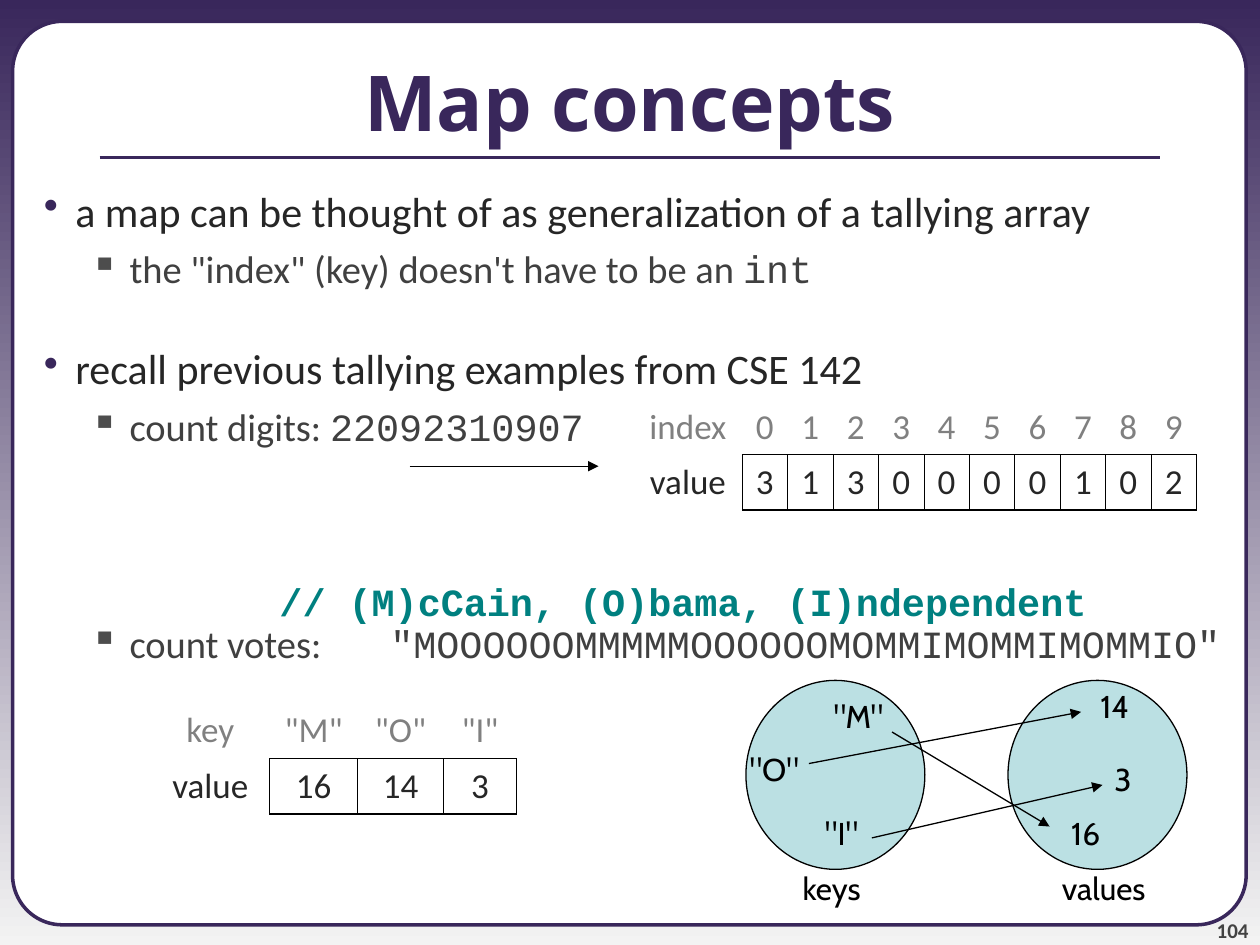
from lxml.etree import SubElement
from pptx import Presentation
from pptx.dml.color import RGBColor
from pptx.enum.shapes import MSO_CONNECTOR, MSO_SHAPE
from pptx.enum.text import MSO_ANCHOR as Anchor, PP_ALIGN as Align
from pptx.oxml.ns import qn
from pptx.util import Inches, Pt

PURPLE = RGBColor(0x39, 0x27, 0x5B)
PALE = RGBColor(0xF3, 0xF3, 0xF3)
WHITE = RGBColor(0xFF, 0xFF, 0xFF)
BLACK = RGBColor(0, 0, 0)
INK = RGBColor(0x26, 0x26, 0x26)
DARK_GRAY = RGBColor(0x40, 0x40, 0x40)
NUMBER_GRAY = RGBColor(0x42, 0x42, 0x42)
GRAY = RGBColor(0x80, 0x80, 0x80)
TEAL = RGBColor(0, 0x80, 0x80)
LIGHT_BLUE = RGBColor(0xBB, 0xE0, 0xE3)

presentation = Presentation()
presentation.slide_width, presentation.slide_height = Inches(10), Inches(7.5)
slide = presentation.slides.add_slide(presentation.slide_layouts[6])
shapes = slide.shapes


def add_run(paragraph, text, size, name, color, bold=False):
    run = paragraph.add_run()
    run.text = text
    font_values = {"size": Pt(size), "name": name, "bold": bold}
    for key, value in font_values.items():
        setattr(run.font, key, value)
    run.font.color.rgb = color


def add_line(start, end, color, width, arrow=False):
    points = [Inches(number) for number in (*start, *end)]
    line = shapes.add_connector(MSO_CONNECTOR.STRAIGHT, *points)
    line.line.color.rgb = color
    line.line.width = Pt(width)
    if arrow:
        SubElement(line.line._get_or_add_ln(), qn("a:tailEnd"), type="triangle")
    SubElement(line._element.spPr, qn("a:effectLst"))


# Background gradient
background = slide.background.fill
background.gradient()
background.gradient_angle = 270
for stop, color, position in zip(background.gradient_stops, (PURPLE, PALE), (0, 1)):
    stop.color.rgb = color
    stop.position = position

# White panel and the two circles
for kind, box, fill, outline, width in (
    (MSO_SHAPE.ROUNDED_RECTANGLE, (0.1, 0.17, 9.79, 7.17), WHITE, PURPLE, 2),
    (MSO_SHAPE.OVAL, (5.92, 5.4, 1.42, 1.5), LIGHT_BLUE, BLACK, 0.74),
    (MSO_SHAPE.OVAL, (8, 5.4, 1.42, 1.5), LIGHT_BLUE, BLACK, 0.74),
):
    shape = shapes.add_shape(kind, *[Inches(number) for number in box])
    shape.shadow.inherit = False
    shape.fill.solid()
    shape.fill.fore_color.rgb = fill
    shape.line.color.rgb = outline
    shape.line.width = Pt(width)
    if kind == MSO_SHAPE.ROUNDED_RECTANGLE:
        shape.adjustments[0] = 0.055

# Title, rule and slide number
add_line((0.79, 1.25), (9.21, 1.25), PURPLE, 2.24)
title = shapes.add_textbox(0, Inches(0.17), Inches(10), Inches(1.25)).text_frame
title.word_wrap = True
title.vertical_anchor = Anchor.MIDDLE
title.paragraphs[0].alignment = Align.CENTER
add_run(title.paragraphs[0], "Map concepts", 44, "Open Sans", PURPLE, True)

number_box = shapes.add_textbox(Inches(9.08), Inches(7.08), Inches(0.83), Inches(0.4))
number_frame = number_box.text_frame
for side in ("left", "top", "right", "bottom"):
    setattr(number_frame, f"margin_{side}", 0)
number_frame.word_wrap = True
number_frame.vertical_anchor = Anchor.BOTTOM
number_frame.paragraphs[0].alignment = Align.RIGHT
add_run(number_frame.paragraphs[0], "104", 12, "Calibri", NUMBER_GRAY, True)

# Body: level, space before, line spacing, plain text, code text
body = shapes.add_textbox(0, Inches(1.42), Inches(10), Inches(6.08)).text_frame
body.word_wrap = True
LEVELS = {  # left indent, first line, bullet, bullet color, size, text color
    "main": (0.5, -0.25, "•", "39275B", 24, INK),
    "sub": (0.93, -0.31, "▪", "4D4D4D", 22, DARK_GRAY),
    "comment": (2.12, 0, None, None, 22, TEAL),
}
body_rows = (
    ("main", 6, 1, "a map can be thought of as generalization of a tallying array", ""),
    ("sub", 5.5, 1, "the \"index\" (key) doesn't have to be an ", "int"),
    ("main", 29.5, 1, "recall previous tallying examples from CSE 142", ""),
    ("sub", 5.5, 1, "count digits: ", "22092310907"),
    ("comment", 81, 0.7, "", "// (M)cCain, (O)bama, (I)ndependent"),
    ("sub", 5.5, 0.7, "count votes:\t", '"MOOOOOOMMMMMOOOOOOMOMMIMOMMIMOMMIO"'),
)
for index, (level, before, spacing, plain, code) in enumerate(body_rows):
    paragraph = body.add_paragraph() if index else body.paragraphs[0]
    left, first, bullet, bullet_color, size, color = LEVELS[level]
    paragraph.space_before = Pt(before)
    paragraph.line_spacing = float(spacing)
    properties = paragraph._p.get_or_add_pPr()
    properties.set("marL", str(Inches(left)))
    properties.set("indent", str(Inches(first)))
    if bullet:
        bullet_fill = SubElement(properties, qn("a:buClr"))
        SubElement(bullet_fill, qn("a:srgbClr"), val=bullet_color)
        SubElement(properties, qn("a:buChar"), char=bullet)
    if "\t" in plain:
        tabs = SubElement(properties, qn("a:tabLst"))
        for stop in range(1, 9):
            SubElement(tabs, qn("a:tab"), pos=str(Inches(stop)), algn="l")
    for text, name in ((plain, "Calibri"), (code, "Courier New")):
        if text:
            add_run(paragraph, text, size, name, color, level == "comment")

# Tally tables: gray headings above boxed values
for left, top, widths, rows in (
    (5.03, 3.17, [0.86] + [0.361] * 10,
     (["index", *"0123456789"], ["value", *"3130000102"])),
    (1.2, 5.58, [0.94, 0.7, 0.68, 0.58],
     (["key", '"M"', '"O"', '"I"'], ["value", "16", "14", "3"])),
):
    frame = shapes.add_table(2, len(widths), Inches(left), Inches(top),
                             Inches(sum(widths)), Inches(0.88))
    table = frame.table
    table.first_row = table.horz_banding = False
    for column, width in zip(table.columns, widths):
        column.width = Inches(width)
    for row_index, row in enumerate(rows):
        table.rows[row_index].height = Inches(0.44)
        for column_index, text in enumerate(row):
            cell = table.cell(row_index, column_index)
            paragraph = cell.text_frame.paragraphs[0]
            paragraph.alignment = Align.CENTER
            paragraph.space_before = Pt(5)
            add_run(paragraph, text, 20, "Calibri", INK if row_index else GRAY)

            boxed = row_index == 1 and column_index > 0
            last = column_index == len(row) - 1
            borders = {
                "L": 0.45 if boxed else 0,
                "R": (1.08 if last else 0.45) if row_index else 0,
                "T": 0.45 if boxed else 0,
                "B": 1.08 if boxed else 0.45 if column_index and not row_index else 0,
            }
            cell_properties = cell._tc.get_or_add_tcPr()
            for side, width in borders.items():
                border = SubElement(cell_properties, qn(f"a:ln{side}"), w=str(Pt(width)))
                if width:
                    border_fill = SubElement(border, qn("a:solidFill"))
                    SubElement(border_fill, qn("a:srgbClr"), val="000000")
                else:
                    SubElement(border, qn("a:noFill"))
            cell.fill.background()

# Mapping labels
for text, left, top, width in (
    ('"M"', 6.48, 5.48, 0.63), ('"O"', 5.84, 5.9, 0.6), ('"I"', 6.42, 6.41, 0.49),
    ("16", 8.35, 6.41, 0.48), ("3", 8.74, 5.98, 0.34), ("14", 8.58, 5.4, 0.48),
    ("keys", 6.21, 6.85, 0.72), ("values", 8.25, 6.85, 0.94),
):
    label = shapes.add_textbox(Inches(left), Inches(top), Inches(width), Inches(0.4))
    label.text_frame.word_wrap = False
    paragraph = label.text_frame.paragraphs[0]
    paragraph.alignment = Align.RIGHT
    add_run(paragraph, text, 18, "Cabin", BLACK)

# Arrows
for start, end in (
    ((3.25, 3.7), (4.75, 3.7)),
    ((7.08, 5.81), (8.33, 6.56)),
    ((6.42, 6.06), (8.58, 5.65)),
    ((6.92, 6.65), (8.75, 6.23)),
):
    add_line(start, end, BLACK, 0.74, arrow=True)

presentation.save("out.pptx")
